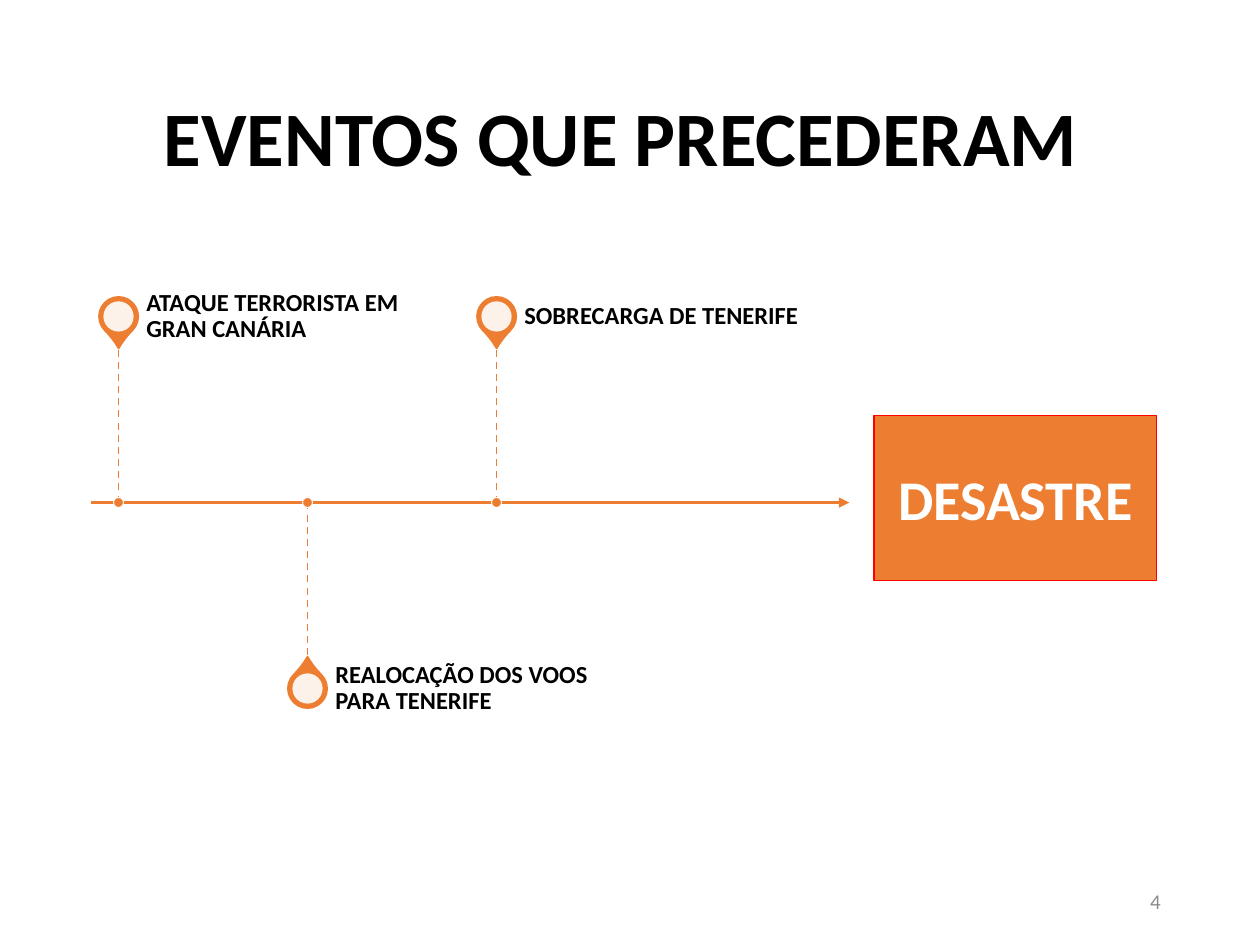
from lxml.etree import SubElement
from pptx import Presentation
from pptx.dml.color import RGBColor
from pptx.enum.dml import MSO_LINE
from pptx.enum.shapes import MSO_CONNECTOR, MSO_SHAPE
from pptx.enum.text import MSO_ANCHOR, PP_ALIGN
from pptx.oxml.ns import qn
from pptx.util import Cm, Pt

COLORS = {"accent": "ED7D31", "alert": "FF0000", "black": "000000",
          "white": "FFFFFF", "gray": "8C8C8C"}
PALETTE = {name: RGBColor.from_string(value) for name, value in COLORS.items()}


def write_text(shape, text, size, color, bold=True, alignment=PP_ALIGN.LEFT, spacing=1.0):
    frame = shape.text_frame
    frame.word_wrap = True
    frame.vertical_anchor = MSO_ANCHOR.MIDDLE
    paragraph = frame.paragraphs[0]
    paragraph.text = text
    paragraph.alignment = alignment
    paragraph.line_spacing = spacing
    font = paragraph.runs[0].font
    font.color.rgb = PALETTE[color]
    formats = {"name": "Calibri", "size": Pt(size), "bold": bold}
    for attribute, value in formats.items():
        setattr(font, attribute, value)


def add_centered(kind, x, y, width, height, fill, line=None, line_width=1):
    shape = slide.shapes.add_shape(
        kind, Cm(x - width / 2), Cm(y - height / 2), Cm(width), Cm(height))
    shape.shadow.inherit = False
    shape.fill.solid()
    shape.fill.fore_color.rgb = PALETTE[fill]
    if line:
        shape.line.color.rgb = PALETTE[line]
        shape.line.width = Pt(line_width)
    else:
        shape.line.fill.background()
    return shape


presentation = Presentation()
presentation.slide_width = Cm(25.4)
presentation.slide_height = Cm(19.05)
slide = presentation.slides.add_slide(presentation.slide_layouts[5])

# Title
title = slide.shapes.title
bounds = {"left": 1.75, "top": 1.01, "width": 21.9, "height": 3.68}
for attribute, value in bounds.items():
    setattr(title, attribute, Cm(value))
write_text(title, "EVENTOS QUE PRECEDERAM ", 44, "black",
           alignment=PP_ALIGN.CENTER, spacing=0.9)

# Slide number
number = slide.shapes.add_textbox(Cm(17.93), Cm(17.65), Cm(5.72), Cm(1.02))
write_text(number, "4", 12, "gray", bold=False, alignment=PP_ALIGN.RIGHT)

# Timeline geometry
axis_y = 10.13
first_x = 2.39
event_gap = 3.81
pin_offset = 3.75
stem_length = 3.18
label_width, label_height = 6.38, 1.12

# Each event: label, side of the axis (-1 above, 1 below)
events = [
    ("ATAQUE TERRORISTA EM GRAN CANÁRIA", -1),
    ("REALOCAÇÃO DOS VOOS PARA TENERIFE", 1),
    ("SOBRECARGA DE TENERIFE", -1),
]

# Axis arrow and dashed stems
lines = [(1.83, axis_y, 17.12, axis_y, 1.5)]
for index, (label, side) in enumerate(events):
    x = first_x + index * event_gap
    lines.append((x, axis_y, x, axis_y + side * stem_length, 1))

for x1, y1, x2, y2, width in lines:
    connector = slide.shapes.add_connector(
        MSO_CONNECTOR.STRAIGHT, Cm(x1), Cm(y1), Cm(x2), Cm(y2))
    connector.line.color.rgb = PALETTE["accent"]
    connector.line.width = Pt(width)
    if x1 == x2:
        connector.line.dash_style = MSO_LINE.DASH
    else:
        SubElement(connector.line._get_or_add_ln(), qn("a:tailEnd"), type="triangle")
    SubElement(connector._element.spPr, qn("a:effectLst"))

# Pins, labels and axis dots
for index, (label, side) in enumerate(events):
    x = first_x + index * event_gap
    pin_y = axis_y + side * pin_offset

    pin = add_centered(MSO_SHAPE.TEAR, x, pin_y, 0.79, 0.79, "accent", "accent")
    pin.adjustments[0] = 1.15
    pin.rotation = 135 if side < 0 else 315

    center = add_centered(MSO_SHAPE.OVAL, x, pin_y, 0.61, 0.61, "white")
    fill_color = center._element.spPr.find(qn("a:solidFill"))[0]
    SubElement(fill_color, qn("a:alpha"), val="90000")

    box = slide.shapes.add_textbox(
        Cm(x + 0.56), Cm(pin_y - label_height / 2), Cm(label_width), Cm(label_height))
    for margin in ("margin_left", "margin_top", "margin_bottom"):
        setattr(box.text_frame, margin, 0)
    write_text(box, label, 14, "black", spacing=0.9)

    add_centered(MSO_SHAPE.OVAL, x, axis_y, 0.2, 0.2, "accent", "white", 0.5)

# Outcome
outcome = add_centered(MSO_SHAPE.RECTANGLE, 20.47, 10.04, 5.69, 3.33, "accent", "alert")
write_text(outcome, "DESASTRE", 32, "white", alignment=PP_ALIGN.CENTER)

presentation.save("out.pptx")
